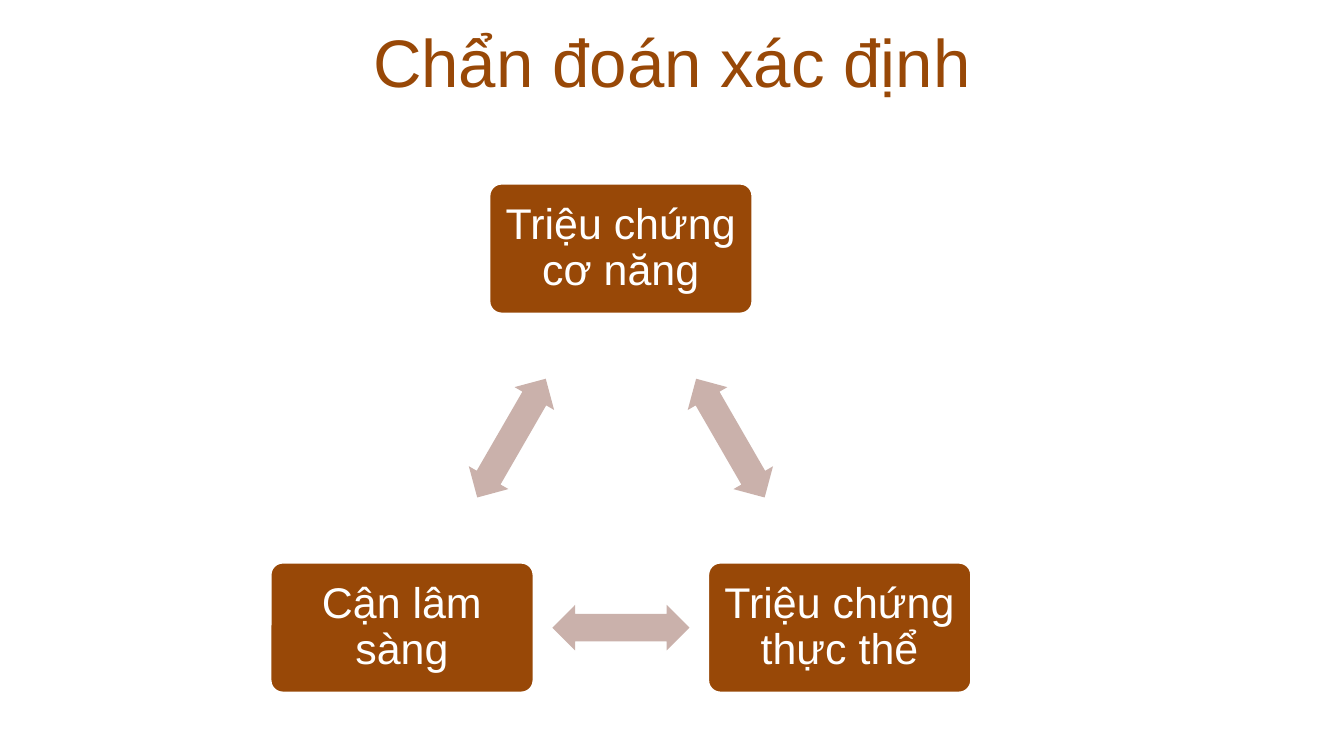
import math

from pptx import Presentation
from pptx.dml.color import RGBColor
from pptx.enum import shapes, text
from pptx.util import Inches, Pt

BROWN, ROSE, WHITE = "984807", "CAB1AB", "FFFFFF"
NODE_WIDTH, NODE_HEIGHT = 1.97, 0.98
ARROW_WIDTH, ARROW_HEIGHT = 1.02, 0.34


def colour(value):
    return RGBColor.from_string(value)


def write(shape, content, size, ink, inset=0.1, spacing=1.0):
    frame = shape.text_frame
    frame.word_wrap = True
    frame.vertical_anchor = text.MSO_ANCHOR.MIDDLE
    frame.margin_left = frame.margin_right = Inches(inset)
    frame.margin_top = frame.margin_bottom = Inches(inset)
    para = frame.paragraphs[0]
    para.alignment = text.PP_ALIGN.CENTER
    para.line_spacing = spacing
    span = para.add_run()
    span.text = content
    span.font.name = "Arial"
    span.font.size = Pt(size)
    span.font.color.rgb = colour(ink)


def add_centred(page, kind, x, y, width, height, fill, adjustments):
    shape = page.shapes.add_shape(
        kind, Inches(x - width / 2), Inches(y - height / 2), Inches(width), Inches(height))
    shape.shadow.inherit = False
    shape.fill.solid()
    shape.fill.fore_color.rgb = colour(fill)
    shape.line.fill.background()
    for index, value in enumerate(adjustments):
        shape.adjustments[index] = value
    return shape


def add_title(page, left, top, width, height, content):
    box = page.shapes.add_textbox(Inches(left), Inches(top), Inches(width), Inches(height))
    write(box, content, 36, BROWN, inset=0.05)


def add_node(page, x, y, label):
    node = add_centred(page, shapes.MSO_SHAPE.ROUNDED_RECTANGLE, x, y,
                       NODE_WIDTH, NODE_HEIGHT, BROWN, [0.1])
    node.line.color.rgb = colour(WHITE)
    node.line.width = Pt(2)
    write(node, label, 23, WHITE, spacing=0.9)


def add_cycle(page, left, top, width, height, labels):
    radius = (height - NODE_HEIGHT) / 1.5
    centre_x = left + width / 2
    centre_y = top + NODE_HEIGHT / 2 + radius
    step = 360 / len(labels)
    angles = [math.radians(step * index - 90) for index in range(len(labels))]
    points = [(centre_x + radius * math.cos(angle), centre_y + radius * math.sin(angle))
              for angle in angles]
    for index, (label, (x, y)) in enumerate(zip(labels, points)):
        next_x, next_y = points[(index + 1) % len(points)]
        add_node(page, x, y, label)
        arrow = add_centred(page, shapes.MSO_SHAPE.LEFT_RIGHT_ARROW,
                            (x + next_x) / 2, (y + next_y) / 2,
                            ARROW_WIDTH, ARROW_HEIGHT, ROSE, [0.6, 0.5])
        arrow.rotation = step * (index + 0.5)


def main():
    deck = Presentation()
    deck.slide_width = Inches(10)
    deck.slide_height = deck.slide_width * 9 // 16
    page = deck.slides.add_slide(deck.slide_layouts[6])
    add_title(page, 0, 0.14, 10, 0.63, "Chẩn đoán xác định")
    add_cycle(page, 2.01, 1.36, 5.22, 3.8,
              ["Triệu chứng cơ năng", "Triệu chứng thực thể", "Cận lâm sàng"])
    deck.save("out.pptx")


if __name__ == "__main__":
    main()
